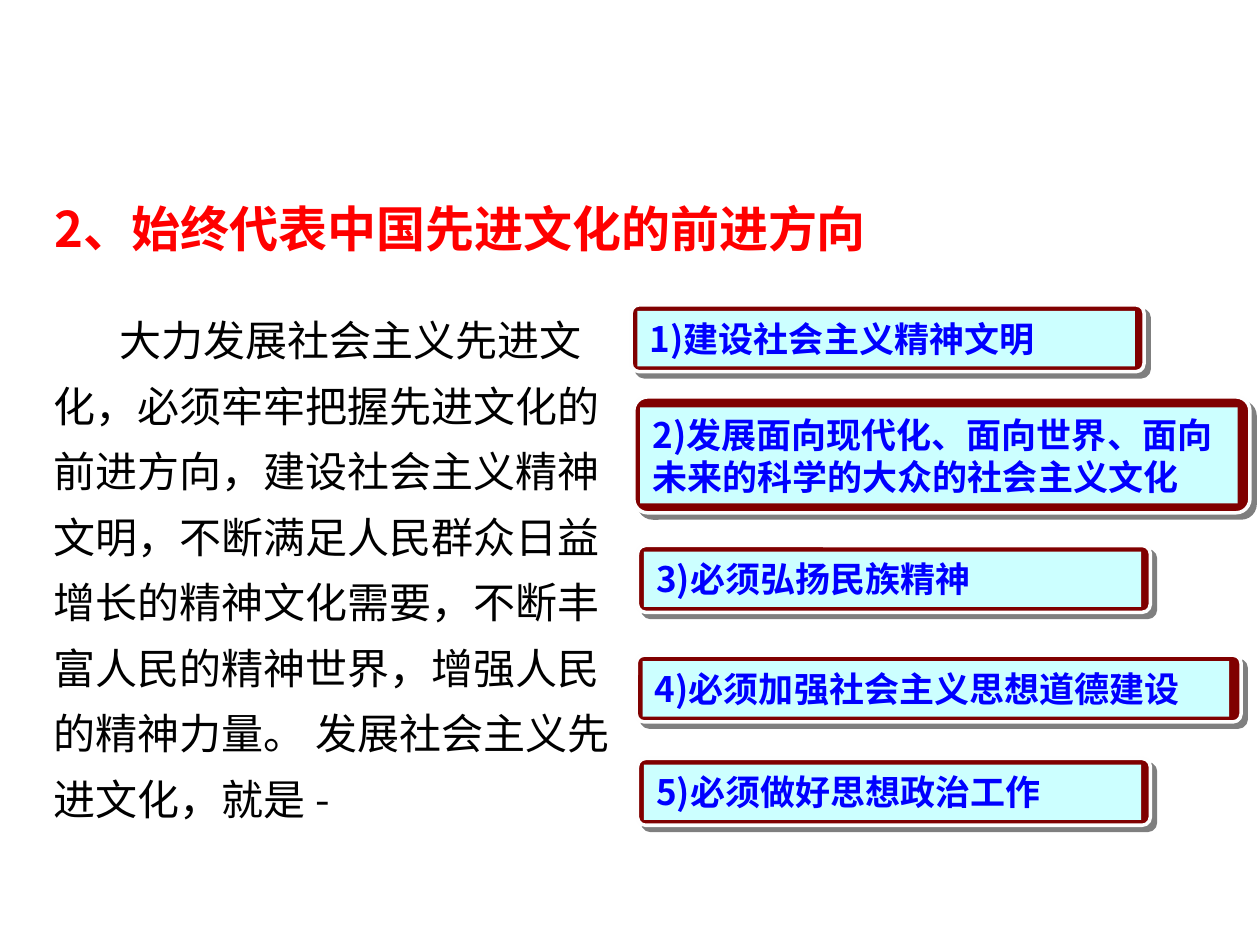
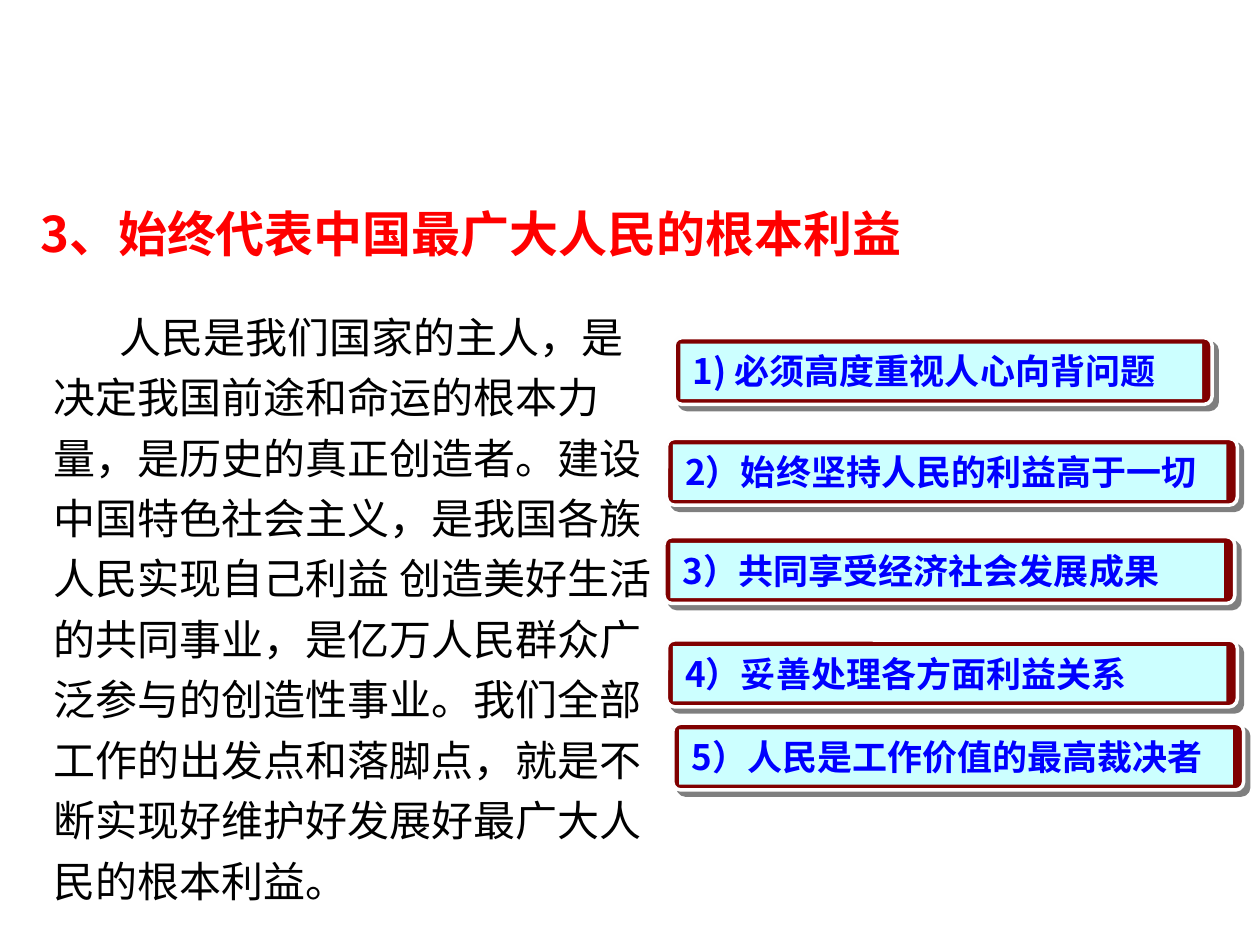
import pptx
import pptx.dml.color
import pptx.enum.shapes
import pptx.enum.text
import pptx.oxml
import pptx.oxml.ns
import pptx.util
from lxml import etree

Inches = pptx.util.Inches
SHAPE = pptx.enum.shapes.MSO_SHAPE
ANCHOR = pptx.enum.text.MSO_ANCHOR
qn = pptx.oxml.ns.qn

FONT = "Noto Sans CJK SC"
RED, BLACK, BLUE = "FF0000", "000000", "0000FF"
MAROON, PALE_CYAN, OFF_WHITE = "800000", "CCFFFF", "FEFEFE"
BAR_HEIGHT = 0.53
TALL_BAR_HEIGHT = 0.92


def color(hex_string):
    return pptx.dml.color.RGBColor.from_string(hex_string)


def write(shape, text, *, size, ink, bold=False, anchor=ANCHOR.TOP,
          spacing=None, indent=0):
    frame = shape.text_frame
    frame.word_wrap = True
    frame.auto_size = pptx.enum.text.MSO_AUTO_SIZE.NONE
    frame.vertical_anchor = anchor
    paragraph = frame.paragraphs[0]
    paragraph.alignment = pptx.enum.text.PP_ALIGN.LEFT
    layout = paragraph._p.get_or_add_pPr()
    layout.set("hangingPunct", "0")
    layout.set("indent", str(Inches(indent)))
    if spacing:
        paragraph.line_spacing = spacing
    run = paragraph.add_run()
    run.text = text
    run.font.size = pptx.util.Pt(size)
    run.font.bold = bold
    run.font.color.rgb = color(ink)
    run.font.name = FONT
    properties = run._r.get_or_add_rPr()
    properties.set("lang", "zh-CN")
    etree.SubElement(properties, qn("a:ea")).set("typeface", FONT)


def add_hard_shadow(shape):
    """Give the shape an unblurred grey shadow to the lower right."""
    shape.shadow.inherit = False
    effects = shape._element.spPr.find(qn("a:effectLst"))
    shadow = etree.SubElement(effects, qn("a:outerShdw"), blurRad="0",
                              dist=str(pptx.util.Pt(4.2)), dir="2700000",
                              algn="ctr", rotWithShape="0")
    tint = etree.SubElement(shadow, qn("a:srgbClr"), val=BLACK)
    etree.SubElement(tint, qn("a:alpha"), val="50000")


def add_heading(slide, box, text):
    heading = slide.shapes.title
    heading.left, heading.top, heading.width, heading.height = map(Inches, box)
    write(heading, text, size=28, ink=RED, bold=True, anchor=ANCHOR.BOTTOM)


def add_passage(slide, box, text, spacing):
    passage = slide.shapes.add_textbox(*map(Inches, box))
    write(passage, text, size=24, ink=BLACK, spacing=spacing, indent=0.52)


def add_point(slide, box, text):
    """Draw a maroon bar with a pale plate whose insets follow its size."""
    left, top, width, height = box
    group = slide.shapes.add_group_shape()
    bar = group.shapes.add_shape(SHAPE.ROUNDED_RECTANGLE, *map(Inches, box))
    bar.adjustments[0] = 0.12
    bar.fill.solid()
    bar.fill.fore_color.rgb = color(MAROON)
    bar.line.color.rgb = color(OFF_WHITE)
    bar.line.width = pptx.util.Pt(2)
    add_hard_shadow(bar)

    plate_box = (left + 0.05, top + 0.09 * height,
                 0.97 * width, 0.83 * height)
    plate = group.shapes.add_shape(SHAPE.RECTANGLE, *map(Inches, plate_box))
    plate.shadow.inherit = False
    plate.fill.solid()
    plate.fill.fore_color.rgb = color(PALE_CYAN)
    plate.line.fill.background()
    write(plate, text, size=20, ink=BLUE, bold=True)


def add_theme_slide(deck, heading, passage, points):
    slide = deck.slides.add_slide(deck.slide_layouts[5])
    add_heading(slide, *heading)
    add_passage(slide, *passage)
    for box, text in points:
        add_point(slide, box, text)


def main():
    deck = pptx.Presentation()
    deck.slide_width, deck.slide_height = Inches(10), Inches(7.5)

    add_theme_slide(
        deck,
        ((0.33, 1.4, 9, 0.69), "2、始终代表中国先进文化的前进方向"),
        ((0.33, 2.33, 4.85, 4.22),
         "大力发展社会主义先进文化，必须牢牢把握先进文化的前进方向，"
         "建设社会主义精神文明，不断满足人民群众日益增长的精神文化需要，"
         "不断丰富人民的精神世界，增强人民的精神力量。 "
         "发展社会主义先进文化，就是 -", 1.3),
        [((5.01, 2.42, 4.07, BAR_HEIGHT), "1)建设社会主义精神文明"),
         ((5.03, 3.15, 4.89, TALL_BAR_HEIGHT),
          "2)发展面向现代化、面向世界、面向未来的科学的大众的社会主义文化"),
         ((5.06, 4.33, 4.07, BAR_HEIGHT), "3)必须弘扬民族精神"),
         ((5.05, 5.2, 4.8, BAR_HEIGHT), "4)必须加强社会主义思想道德建设"),
         ((5.06, 6.02, 4.07, BAR_HEIGHT), "5)必须做好思想政治工作")])

    add_theme_slide(
        deck,
        ((0.22, 1.3, 9, 0.83), "3、始终代表中国最广大人民的根本利益"),
        ((0.33, 2.34, 5.02, 4.97),
         "人民是我们国家的主人，是决定我国前途和命运的根本力量，"
         "是历史的真正创造者。建设中国特色社会主义，"
         "是我国各族人民实现自己利益 创造美好生活的共同事业，"
         "是亿万人民群众广泛参与的创造性事业。我们全部工作的出发点和落脚点，"
         "就是不断实现好维护好发展好最广大人民的根本利益。", 1.2),
        [((5.35, 2.68, 4.27, BAR_HEIGHT), "1) 必须高度重视人心向背问题"),
         ((5.29, 3.48, 4.53, BAR_HEIGHT), "2）始终坚持人民的利益高于一切"),
         ((5.27, 4.26, 4.53, BAR_HEIGHT), "3）共同享受经济社会发展成果"),
         ((5.29, 5.08, 4.53, BAR_HEIGHT), "4）妥善处理各方面利益关系"),
         ((5.34, 5.74, 4.53, BAR_HEIGHT), "5）人民是工作价值的最高裁决者")])

    deck.save("out.pptx")


if __name__ == "__main__":
    main()
